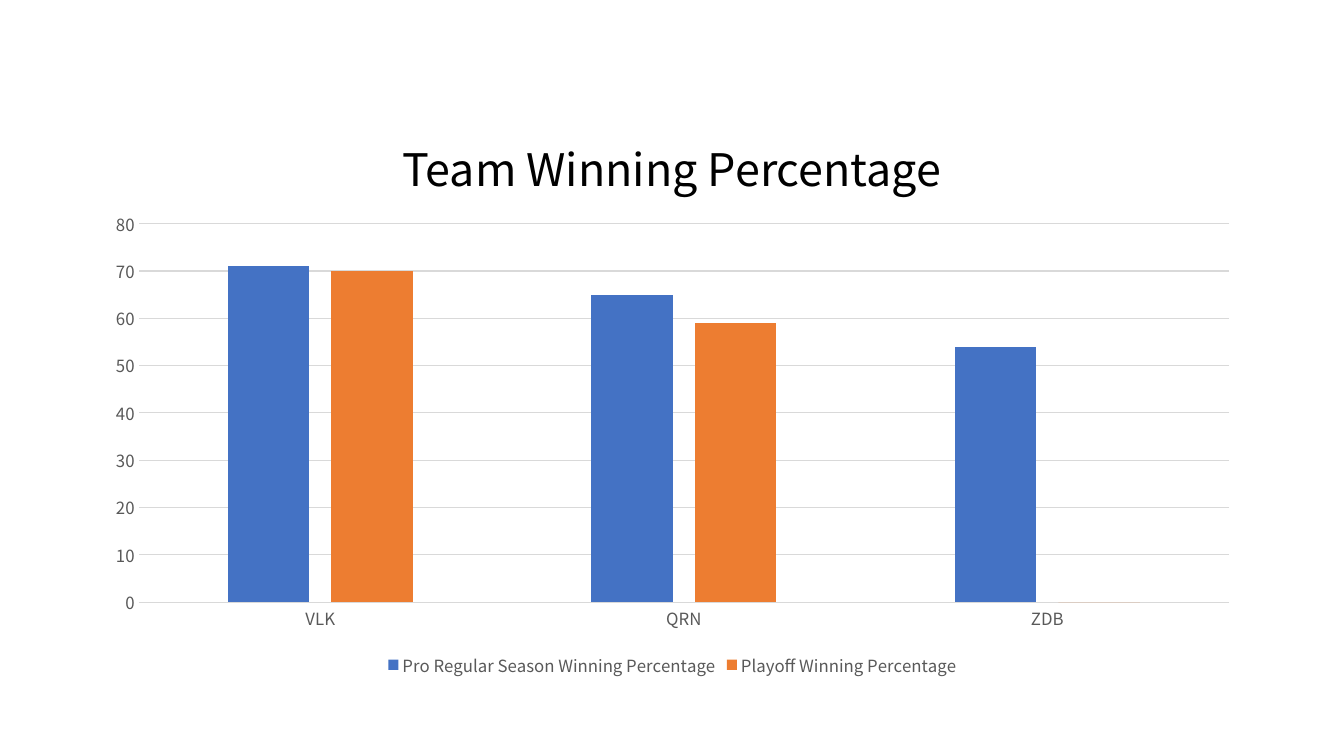
from pptx import Presentation
from pptx.chart.data import CategoryChartData
from pptx.dml.color import RGBColor
from pptx.enum.chart import XL_CHART_TYPE, XL_LEGEND_POSITION, XL_TICK_MARK
from pptx.enum.text import MSO_ANCHOR, MSO_AUTO_SIZE, PP_ALIGN
from pptx.util import Pt


def px(n):
    """Turn px, at 100 to the inch, into EMU."""
    return n * 9144


def rgb(value):
    """Turn a hex string into a colour."""
    return RGBColor.from_string(value)


class Deck:
    """Hold the style and the current slide."""

    font = "Noto Sans CJK SC"
    ink, label, rule = "000000", "595959", "D9D9D9"

    def __init__(self, prs):
        """Add a title-only slide."""
        self.slide = prs.slides.add_slide(prs.slide_layouts[5])

    def style(self, font, size, color):
        """Format a font."""
        font.name, font.size = self.font, Pt(size)
        font.color.rgb = rgb(color)

    def hairline(self, line):
        """Format an axis or grid line."""
        line.color.rgb = rgb(self.rule)
        line.width = Pt(0.75)

    def title(self, text, x, y, w, h):
        """Place and fill the title."""
        sp = self.slide.shapes.title
        sp.left, sp.top, sp.width, sp.height = map(px, (x, y, w, h))
        tf = sp.text_frame
        tf.text = text
        tf.word_wrap = True
        tf.auto_size = MSO_AUTO_SIZE.SHAPE_TO_FIT_TEXT
        tf.vertical_anchor = MSO_ANCHOR.TOP
        p = tf.paragraphs[0]
        p.alignment = PP_ALIGN.CENTER
        self.style(p.font, 32, self.ink)

    def columns(self, categories, series, x, y, w, h):
        """Add a clustered column chart from (name, colour, values) rows."""
        data = CategoryChartData()
        data.categories = categories
        for name, _, values in series:
            data.add_series(name, values)
        chart = self.slide.shapes.add_chart(
            XL_CHART_TYPE.COLUMN_CLUSTERED, *map(px, (x, y, w, h)), data).chart
        chart.has_title = False
        self.style(chart.font, 10, self.ink)

        plot = chart.plots[0]
        plot.gap_width, plot.overlap = 219, -27
        plot.vary_by_categories = False
        for ser, (_, color, _) in zip(plot.series, series):
            ser.format.fill.solid()
            ser.format.fill.fore_color.rgb = rgb(color)

        for axis in (chart.category_axis, chart.value_axis):
            axis.major_tick_mark = axis.minor_tick_mark = XL_TICK_MARK.NONE
            self.style(axis.tick_labels.font, 12, self.label)
        self.hairline(chart.category_axis.format.line)
        axis = chart.value_axis
        axis.minimum_scale, axis.maximum_scale, axis.major_unit = 0, 80, 10
        axis.format.line.fill.background()
        axis.has_major_gridlines = True
        self.hairline(axis.major_gridlines.format.line)

        chart.has_legend = True
        chart.legend.position = XL_LEGEND_POSITION.BOTTOM
        chart.legend.include_in_layout = False
        self.style(chart.legend.font, 12, self.label)


def main():
    """Build and save the slide."""
    prs = Presentation()
    prs.slide_width, prs.slide_height = px(1333), px(750)
    deck = Deck(prs)
    deck.columns(
        ["VLK", "QRN", "ZDB"],
        [("Pro Regular Season Winning Percentage", "4472C4", (71, 65, 54)),
         ("Playoff Winning Percentage", "ED7D31", (70, 59, 0))],
        92, 200, 1150, 476)
    deck.title("Team Winning Percentage", 328, 136, 677, 64)
    prs.save("out.pptx")


if __name__ == "__main__":
    main()
